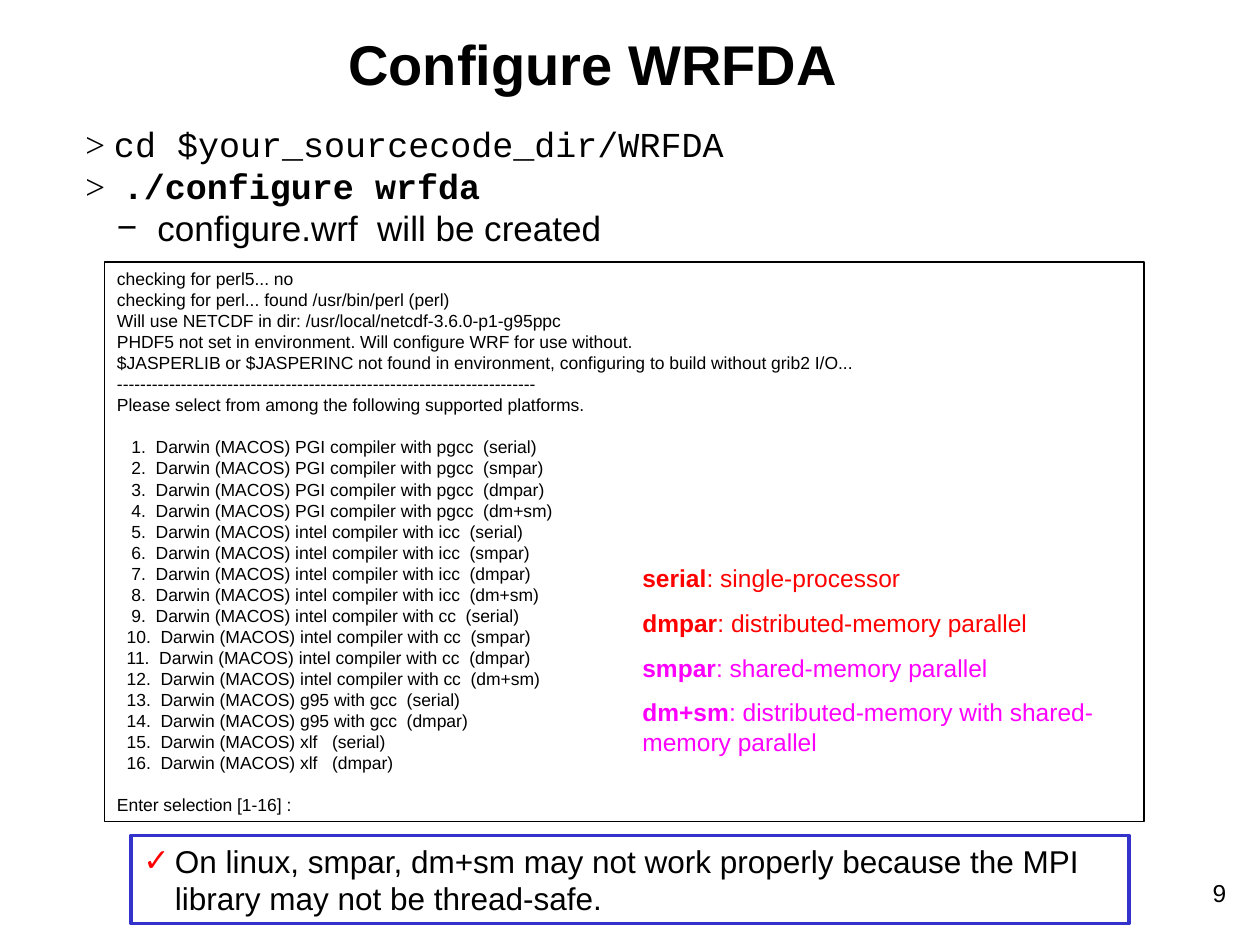
from lxml.etree import SubElement
from pptx import Presentation
from pptx.dml.color import RGBColor
from pptx.enum.shapes import MSO_SHAPE
from pptx.enum.text import MSO_ANCHOR, PP_ALIGN
from pptx.oxml.ns import qn
from pptx.util import Inches, Pt

BLACK, WHITE, RED, PINK, BLUE = "000000", "FFFFFF", "FF0000", "FF00FF", "3333CC"
SANS, MONO, SERIF = "Arial", "Courier New", "Times New Roman"


def color(code):
    return RGBColor.from_string(code)


class Deck:
    def __init__(self):
        self.prs = Presentation()
        self.prs.slide_width, self.prs.slide_height = Inches(10), Inches(7.5)
        self.slide = self.prs.slides.add_slide(self.prs.slide_layouts[6])

    def setup(self, shape, anchor):
        frame = shape.text_frame
        frame.word_wrap = True
        frame.vertical_anchor = anchor
        return frame

    def text(self, x, y, w, h, anchor=MSO_ANCHOR.TOP):
        spot = map(Inches, (x, y, w, h))
        return self.setup(self.slide.shapes.add_textbox(*spot), anchor)

    def box(self, x, y, w, h, line, width, fill=None, anchor=MSO_ANCHOR.TOP):
        spot = map(Inches, (x, y, w, h))
        shape = self.slide.shapes.add_shape(MSO_SHAPE.RECTANGLE, *spot)
        shape.shadow.inherit = False
        if fill:
            shape.fill.solid()
            shape.fill.fore_color.rgb = color(fill)
        else:
            shape.fill.background()
        shape.line.color.rgb = color(line)
        shape.line.width = Pt(width)
        return self.setup(shape, anchor)

    def para(self, frame, size, *runs, align=PP_ALIGN.LEFT, gap=0, bullet=None):
        """Add a paragraph; each run is (text, font, colour, bold)."""
        first = frame.paragraphs[0]
        para = first if not first.runs else frame.add_paragraph()
        if bullet:
            self.bullet(para, *bullet)
        para.alignment = align
        if gap and para is not first:
            para.space_before = Pt(gap)
        for words, face, code, bold in runs:
            run = para.add_run()
            run.text = words
            font = run.font
            font.size, font.name, font.bold = Pt(size), face, bold
            font.color.rgb = color(code)

    def bullet(self, para, mark, code, left, hang):
        props = para._p.get_or_add_pPr()
        props.set("marL", str(Inches(left)))
        props.set("indent", str(-Inches(hang)))
        tint = SubElement(props, qn("a:buClr"))
        SubElement(tint, qn("a:srgbClr")).set("val", code)
        SubElement(props, qn("a:buFont")).set("typeface", SANS)
        SubElement(props, qn("a:buChar")).set("char", mark)


def main():
    deck = Deck()

    # Page number and title
    deck.para(deck.text(7.75, 6.92, 2.08, 0.5), 14,
              ("9", SANS, BLACK, False), align=PP_ALIGN.RIGHT)
    deck.para(deck.text(1.33, 0.25, 6.75, 0.5, MSO_ANCHOR.MIDDLE), 32,
              ("Configure WRFDA", SANS, BLACK, True), align=PP_ALIGN.CENTER)

    # Commands
    steps = deck.text(0.58, 0.92, 9.25, 1.1)
    deck.para(steps, 20, ("> ", SERIF, BLACK, False),
              ("cd $your_sourcecode_dir/WRFDA", MONO, BLACK, False))
    deck.para(steps, 20, (">  ", SERIF, BLACK, False),
              ("./configure wrfda", MONO, BLACK, True))
    deck.para(steps, 20, ("configure.wrf  will be created", SANS, BLACK, False),
              bullet=("−", BLACK, 0.57, 0.32))

    # Console output
    checks = [
        "checking for perl5... no",
        "checking for perl... found /usr/bin/perl (perl)",
        "Will use NETCDF in dir: /usr/local/netcdf-3.6.0-p1-g95ppc",
        "PHDF5 not set in environment. Will configure WRF for use without.",
        "$JASPERLIB or $JASPERINC not found in environment, "
        "configuring to build without grib2 I/O...",
        "-" * 72,
        "Please select from among the following supported platforms.",
    ]
    every = ("serial", "smpar", "dmpar", "dm+sm")
    basic = ("serial", "dmpar")
    tools = [
        ("PGI compiler with pgcc ", every),
        ("intel compiler with icc ", every),
        ("intel compiler with cc ", every),
        ("g95 with gcc ", basic),
        ("xlf  ", basic),
    ]
    builds = [f"{tool} ({mode})" for tool, modes in tools for mode in modes]
    menu = [f"{num:>4}.  Darwin (MACOS) {name}"
            for num, name in enumerate(builds, 1)]
    shell = deck.box(0.83, 2.08, 8.25, 4.44, BLACK, 0.75)
    for group in (checks, menu, ["Enter selection [1-16] :"]):
        for pos, line in enumerate(group):
            deck.para(shell, 10, (line, SANS, BLACK, False),
                      gap=0 if pos else 12)

    # Build modes
    modes = [
        ("serial", "single-processor", RED),
        ("dmpar", "distributed-memory parallel", RED),
        ("smpar", "shared-memory parallel", PINK),
        ("dm+sm", "distributed-memory with shared-memory parallel", PINK),
    ]
    legend = deck.text(5, 4.42, 4.33, 1.64)
    for name, sense, code in modes:
        deck.para(legend, 14, (name, SANS, code, True),
                  (f": {sense}", SANS, code, False), gap=8.8)

    # Warning
    note = deck.box(1.04, 6.63, 7.92, 0.7, BLUE, 2, WHITE, MSO_ANCHOR.MIDDLE)
    deck.para(note, 18, ("On linux, smpar, dm+sm may not work properly because "
                         "the MPI library may not be thread-safe.",
                         SANS, BLACK, False),
              bullet=("✓", RED, 0.25, 0.25))

    deck.prs.save("out.pptx")


if __name__ == "__main__":
    main()
